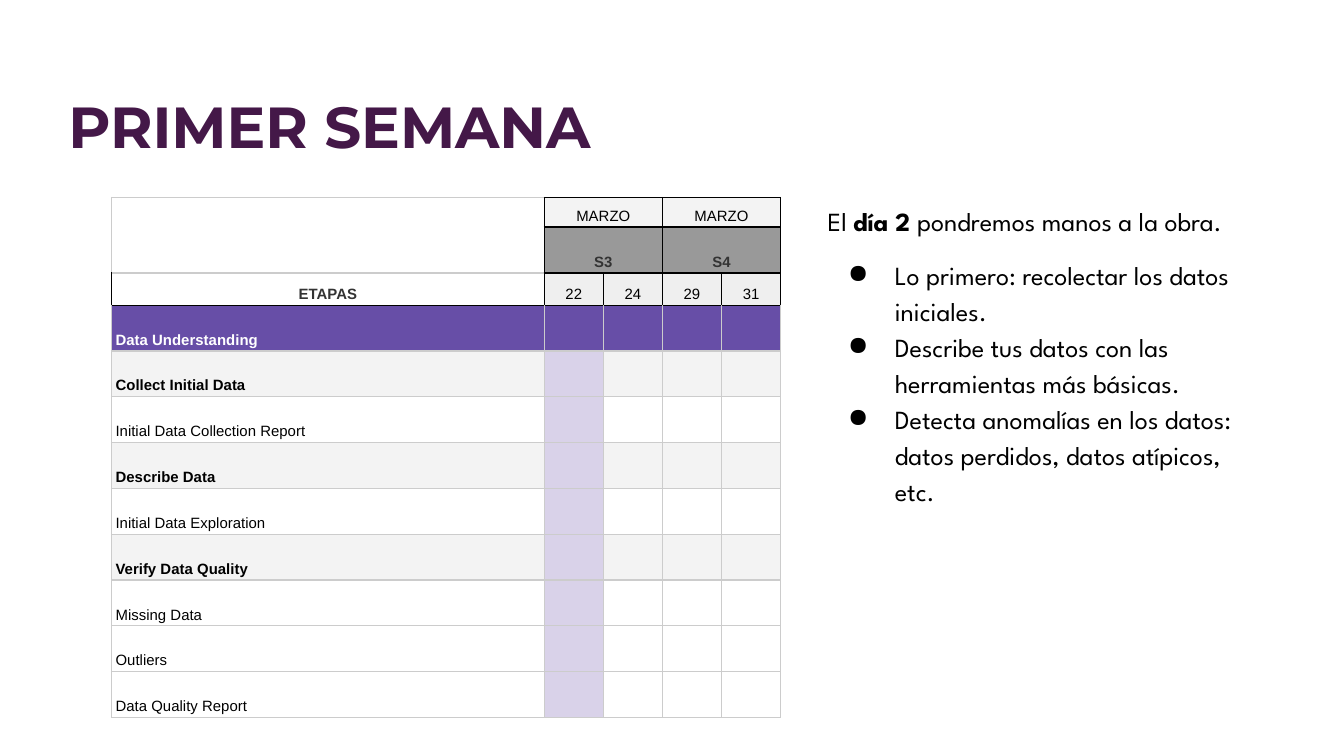
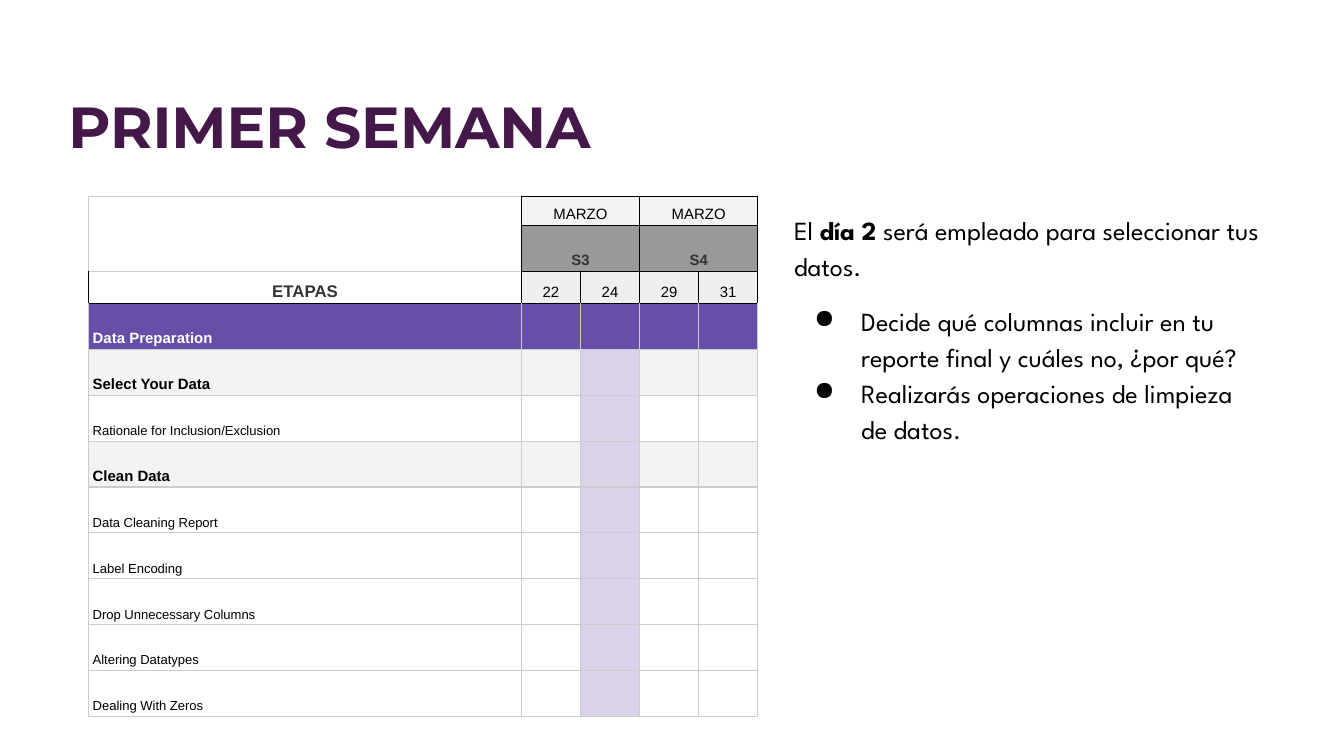
"""Build two slides with a weekly data project schedule and its notes."""
from pptx import Presentation, util as u
from pptx.dml.color import RGBColor
from pptx.enum import text
from pptx.oxml.ns import qn
from lxml import etree

COLORS = {
    "title": "441848", "ink": "000000", "heading": "333333", "white": "FFFFFF",
    "month": "F3F3F3", "week": "999999", "date": "EFEFEF", "stage": "674EA7",
    "section": "F3F3F3", "active": "D9D2E9", "grid": "CCCCCC",
}
UNIT = u.Inches(0.1)
COLUMN_WIDTHS = [32.2] + [4.4] * 4
ROW_HEIGHTS = [2.2, 3.41, 2.4] + [3.41] * 9
HEADER = [
    ["", "MARZO", "", "MARZO", ""],
    ["", "S3", "", "S4", ""],
    ["ETAPAS", "22", "24", "29", "31"],
]
HEADER_FILLS = ["month", "week", "date"]
STAGE_ROW = len(HEADER)


def units(count):
    """Return a length of so many grid units."""
    return u.Emu(round(count * UNIT))


def style_font(font, name, size, color, bold=False):
    """Set the face, size, colour and weight of a font."""
    font.name, font.size, font.bold = name, u.Pt(size), bold
    font.color.rgb = RGBColor.from_string(COLORS[color])


def add_text_box(slide, *box):
    """Add a wrapping text box with even margins and return its frame."""
    frame = slide.shapes.add_textbox(*map(units, box)).text_frame
    frame.word_wrap = True
    frame.margin_left = frame.margin_right = units(1)
    frame.margin_top = frame.margin_bottom = units(1)
    return frame


def add_title(slide, title):
    """Add the slide title."""
    frame = add_text_box(slide, 4.1, 4.2, 93.8, 7)
    frame.text = title
    paragraph = frame.paragraphs[0]
    paragraph.line_spacing = 1.3
    paragraph.space_after = u.Pt(6)
    style_font(paragraph.runs[0].font, "Montserrat", 31, "title", True)


def add_bullet(paragraph):
    """Give a paragraph a hanging round bullet."""
    properties = paragraph._p.get_or_add_pPr()
    properties.set("marL", str(units(5)))
    properties.set("indent", str(units(-3.5)))
    color = etree.SubElement(properties, qn("a:buClr"))
    etree.SubElement(color, qn("a:srgbClr"), val=COLORS["ink"])
    etree.SubElement(properties, qn("a:buChar"), char="●")


def add_notes_text(slide, box, intro, bullets):
    """Add an introduction whose middle run is bold, then the bullets."""
    frame = add_text_box(slide, *box)
    frame.auto_size = text.MSO_AUTO_SIZE.SHAPE_TO_FIT_TEXT
    paragraph = frame.paragraphs[0]
    paragraph.line_spacing = 1.15
    for index, words in enumerate(intro):
        run = paragraph.add_run()
        run.text = words
        style_font(run.font, "League Spartan", 14, "ink", index == 1)
    for index, words in enumerate(bullets):
        paragraph = frame.add_paragraph()
        paragraph.text = words
        add_bullet(paragraph)
        paragraph.line_spacing = 1.15
        paragraph.space_before = u.Pt(0 if index else 10)
        style_font(paragraph.runs[0].font, "League Spartan", 14, "ink")


def set_borders(cell, black_sides):
    """Draw the four borders, black on the named sides and grey elsewhere."""
    properties = cell._tc.get_or_add_tcPr()
    for index, side in enumerate("LRTB"):
        line = etree.Element(qn(f"a:ln{side}"), w=str(u.Pt(0.75)))
        fill = etree.SubElement(line, qn("a:solidFill"))
        color = COLORS["ink" if side in black_sides else "grid"]
        etree.SubElement(fill, qn("a:srgbClr"), val=color)
        properties.insert(index, line)


def black_sides(row, column):
    """Tell which borders of a cell are black."""
    if row < STAGE_ROW:
        if column:
            return "LRTB"
        return "LRB" if row == STAGE_ROW - 1 else "R"
    return "T" if row == STAGE_ROW else ""


def fill_name(row, column, is_section, active_day):
    """Name the fill of a cell, or None where it stays empty."""
    if row < STAGE_ROW:
        if column:
            return HEADER_FILLS[row]
        return "white" if row == STAGE_ROW - 1 else None
    if row == STAGE_ROW:
        return "stage"
    if column == active_day:
        return "active"
    return "section" if is_section else None


def font_style(row, column, is_section, label_size, task_size):
    """Return the size, colour and weight of a cell's text."""
    if row < STAGE_ROW:
        strong = row == 1 or column == 0
        return (8 if column else label_size), "heading" if strong else "ink", strong
    if row == STAGE_ROW:
        return 8, "white", True
    return (8, "ink", True) if is_section else (task_size, "ink", False)


def format_cell(cell, words, style, fill, centered, black):
    """Write and format one cell."""
    cell.margin_left = cell.margin_right = u.Inches(0.03)
    cell.margin_top = cell.margin_bottom = u.Inches(0.02)
    cell.vertical_anchor = text.MSO_ANCHOR.BOTTOM
    paragraph = cell.text_frame.paragraphs[0]
    paragraph.line_spacing = 1.15
    if centered:
        paragraph.alignment = text.PP_ALIGN.CENTER
    if words:
        paragraph.text = words
        style_font(paragraph.runs[0].font, "Arial", *style)
    else:
        etree.SubElement(paragraph._p, qn("a:endParaRPr"), sz="800")
    if fill:
        cell.fill.solid()
        cell.fill.fore_color.rgb = RGBColor.from_string(COLORS[fill])
    else:
        cell.fill.background()
    set_borders(cell, black)


def add_schedule(slide, left, top, stages, sections, active_day, label_size, task_size):
    """Add the schedule table with its header, stage, sections and tasks."""
    rows = HEADER + [[stage] + [""] * 4 for stage in stages]
    frame = slide.shapes.add_table(
        len(rows), len(COLUMN_WIDTHS), units(left), units(top),
        units(sum(COLUMN_WIDTHS)), units(sum(ROW_HEIGHTS)))
    table = frame.table
    table.first_row = table.horz_banding = False
    for column, width in zip(table.columns, COLUMN_WIDTHS):
        column.width = units(width)
    for row, height in zip(table.rows, ROW_HEIGHTS):
        row.height = units(height)
    for row, entries in enumerate(rows):
        is_section = entries[0] in sections
        for column, words in enumerate(entries):
            format_cell(
                table.cell(row, column), words,
                font_style(row, column, is_section, label_size, task_size),
                fill_name(row, column, is_section, active_day),
                row < STAGE_ROW, black_sides(row, column))
    table.cell(0, 0).merge(table.cell(1, 0))
    for row in (0, 1):
        for column in (1, 3):
            table.cell(row, column).merge(table.cell(row, column + 1))


def add_week_slide(presentation, notes, schedule):
    """Add a slide with the title, notes and schedule."""
    slide = presentation.slides.add_slide(presentation.slide_layouts[6])
    slide.background.fill.solid()
    slide.background.fill.fore_color.rgb = RGBColor.from_string(COLORS["white"])
    add_title(slide, "PRIMER SEMANA")
    add_notes_text(slide, **notes)
    add_schedule(slide, **schedule)


def main():
    """Build and save the presentation."""
    presentation = Presentation()
    presentation.slide_width = units(100)
    presentation.slide_height = units(56.25)
    add_week_slide(
        presentation,
        dict(box=(60.6, 13.9, 34.4, 24.8),
             intro=["El ", "día 2 ", "pondremos manos a la obra."],
             bullets=["Lo primero: recolectar los datos iniciales.",
                      "Describe tus datos con las herramientas más básicas.",
                      "Detecta anomalías en los datos: datos perdidos, datos atípicos, etc."]),
        dict(left=8.3, top=14.7, active_day=1, label_size=8, task_size=8,
             sections=["Collect Initial Data", "Describe Data", "Verify Data Quality"],
             stages=["Data Understanding", "Collect Initial Data",
                     "Initial Data Collection Report", "Describe Data",
                     "Initial Data Exploration", "Verify Data Quality",
                     "Missing Data", "Outliers", "Data Quality Report"]))
    add_week_slide(
        presentation,
        dict(box=(58.1, 14.6, 36.7, 22),
             intro=["El ", "día 2", " será empleado para seleccionar tus datos."],
             bullets=["Decide qué columnas incluir en tu reporte final y cuáles no, ¿por qué?",
                      "Realizarás operaciones de limpieza de datos."]),
        dict(left=6.6, top=14.6, active_day=2, label_size=9, task_size=7,
             sections=["Select Your Data", "Clean Data"],
             stages=["Data Preparation", "Select Your Data",
                     "Rationale for Inclusion/Exclusion", "Clean Data",
                     "Data Cleaning Report", "Label Encoding",
                     "Drop Unnecessary Columns", "Altering Datatypes",
                     "Dealing With Zeros"]))
    presentation.save("out.pptx")


if __name__ == "__main__":
    main()
